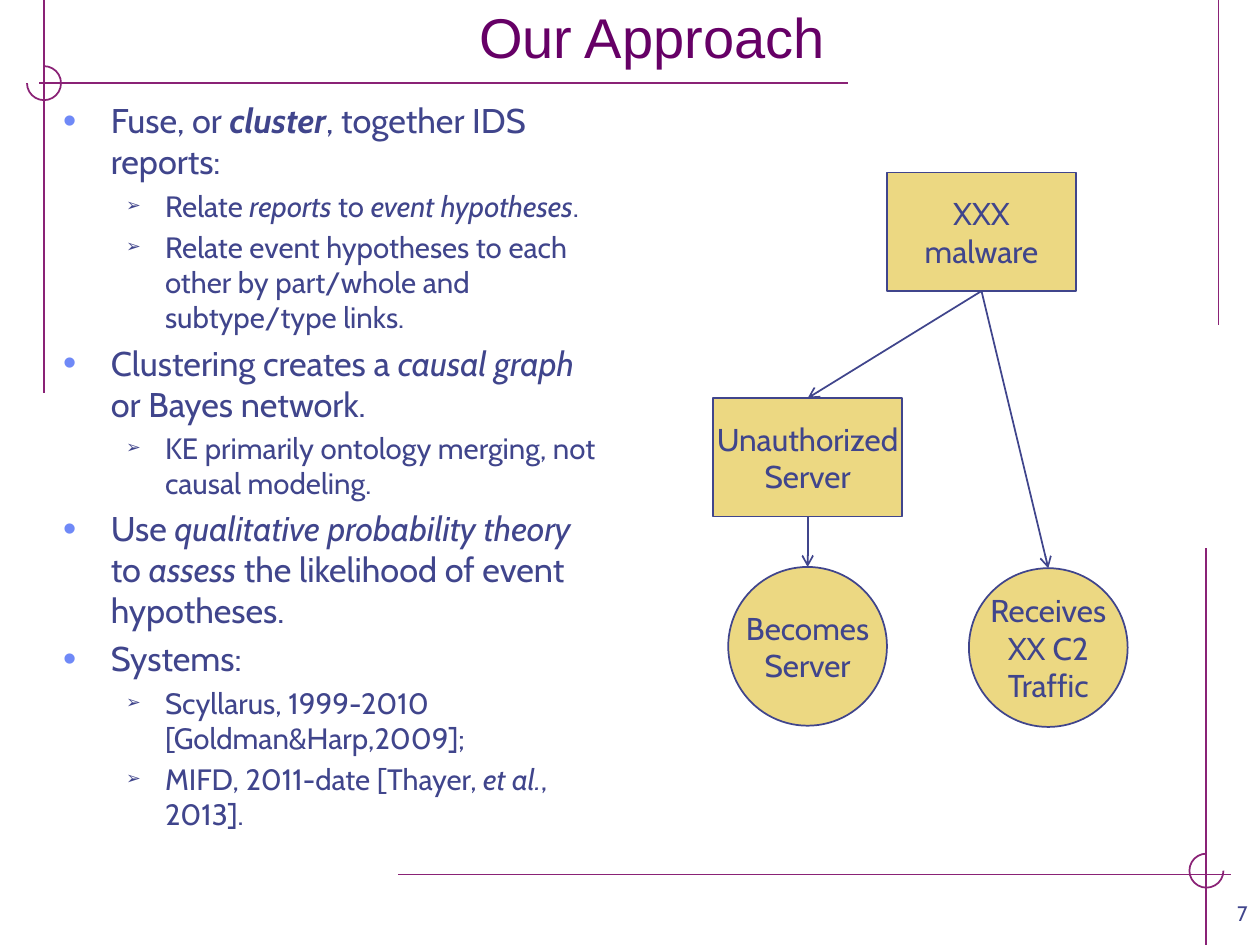
"""Build the "Our Approach" slide: a bulleted list beside a causal graph."""
from lxml import etree
from pptx import Presentation
from pptx import util as u
from pptx.dml.color import RGBColor
from pptx.enum import shapes, text
from pptx.oxml import ns

PLUM = RGBColor(0x8A, 0x22, 0x76)
GRAPE = RGBColor(0x66, 0x00, 0x66)
NAVY = RGBColor(0x40, 0x45, 0x8C)
SKY = RGBColor(0x6F, 0x89, 0xF7)
SAND = RGBColor(0xEC, 0xD8, 0x82)
WIDE, HIGH = u.Inches(10), u.Inches(7.5)
COLS, ROWS = 100, 75
LEVELS = (("•", SKY, 110, 0.38, 0.38, 19.6), ("➢", NAVY, 60, 0.81, 0.31, 16.8))
ITEMS = (
    (0, "Fuse, or *!cluster*, together IDS reports:"),
    (1, "Relate *reports *to *event hypotheses*."),
    (1, "Relate event hypotheses to each other by part/whole and subtype/type links."),
    (0, "Clustering creates a *causal graph* or Bayes network."),
    (1, "KE primarily ontology merging, not causal modeling."),
    (0, "Use *qualitative probability theory *to *assess* the likelihood of event hypotheses."),
    (0, "Systems:"),
    (1, "Scyllarus, 1999-2010 [Goldman&Harp,2009];"),
    (1, "MIFD, 2011-date [Thayer, *et al.*, 2013]."),
)
RULES = (
    (3.5, 0, 3.5, 31.2), (67.3, 6.6, 3.1, 6.6), (31.6, 69.4, 97.7, 69.4),
    (95.7, 43.5, 95.7, 75), (96.7, 0, 96.7, 25.8),
)


def grid(*nums):
    """Turn alternating column and row counts into lengths."""
    return [int(n * (HIGH / ROWS if i % 2 else WIDE / COLS)) for i, n in enumerate(nums)]


def move(shape, *box):
    """Place a shape on the grid."""
    shape.left, shape.top, shape.width, shape.height = grid(*box)


def write(para, words, size=18, font="Cabin", color=NAVY, align=None):
    """Fill a paragraph; *stars* mark italics and a leading ! adds bold."""
    para.alignment = align
    for i, part in enumerate(words.split("*")):
        run = para.add_run()
        run.text = part.lstrip("!")
        face = run.font
        face.size, face.name = u.Pt(size), font
        face.color.rgb = color
        face.italic, face.bold = i % 2 == 1, part.startswith("!")


def bullet(para, level):
    """Give a paragraph the indent, spacing and bullet of its level."""
    mark, color, share, left, hang, size = LEVELS[level]
    para.level = level
    para.space_before = u.Pt(0.2 * size)
    props = para._p.get_or_add_pPr()
    props.set("marL", str(u.Inches(left)))
    props.set("indent", str(-u.Inches(hang)))
    tint = etree.SubElement(props, ns.qn("a:buClr"))
    etree.SubElement(tint, ns.qn("a:srgbClr"), val=str(color))
    etree.SubElement(props, ns.qn("a:buSzPct"), val=str(share * 1000))
    etree.SubElement(props, ns.qn("a:buFont"), typeface="Arial")
    etree.SubElement(props, ns.qn("a:buChar"), char=mark)


def rule(slide, ends, color):
    """Draw a thin straight line without a shadow."""
    line = slide.shapes.add_connector(shapes.MSO_CONNECTOR.STRAIGHT, *grid(*ends))
    line.line.color.rgb, line.line.width = color, u.Pt(1)
    etree.SubElement(line._element.spPr, ns.qn("a:effectLst"))
    return line


def arrow(slide, start, end):
    """Join the bottom of one node to the top of another."""
    line = rule(slide, (0, 0, 0, 0), NAVY)
    line.begin_connect(start, 2 if start.auto_shape_type == shapes.MSO_SHAPE.RECTANGLE else 4)
    line.end_connect(end, 0)
    etree.SubElement(line.line._get_or_add_ln(), ns.qn("a:tailEnd"), type="arrow")


def arc(slide, col, row, start, end):
    """Draw a three-quarter ring between two angles in degrees."""
    ring = slide.shapes.add_shape(shapes.MSO_SHAPE.ARC, *grid(col, row, 2.7, 2.7))
    ring.shadow.inherit = False
    ring.fill.background()
    ring.line.color.rgb, ring.line.width = PLUM, u.Pt(1)
    ring.adjustments[0], ring.adjustments[1] = start * 0.6, end * 0.6


def node(slide, kind, box, *lines):
    """Add a filled graph node with centred lines of text."""
    shape = slide.shapes.add_shape(kind, *grid(*box))
    shape.shadow.inherit = False
    shape.fill.solid()
    shape.fill.fore_color.rgb = SAND
    shape.line.color.rgb, shape.line.width = NAVY, u.Pt(1)
    frame = shape.text_frame
    frame.word_wrap = False
    frame.vertical_anchor = text.MSO_ANCHOR.MIDDLE
    for i, words in enumerate(lines):
        para = frame.add_paragraph() if i else frame.paragraphs[0]
        write(para, words, align=text.PP_ALIGN.CENTER)
    return shape


def frame_art(slide):
    """Draw the crossing rules and rings at the slide's corners."""
    for ends in RULES:
        rule(slide, ends, PLUM)
    arc(slide, 2.15, 5.25, 270, 180)
    arc(slide, 94.4, 67.75, 0, 270)


def words(slide):
    """Fill the title, the list and the page number."""
    title, body = slide.shapes.title, slide.placeholders[1]
    move(title, 7, 0, 89.5, 6)
    move(body, 4, 7.4, 44.8, 61.4)
    page = slide.shapes.add_textbox(*grid(89.5, 70.9, 10.5, 3.1))
    for shape in (title, body, page):
        shape.text_frame.auto_size = text.MSO_AUTO_SIZE.NONE
        shape.text_frame.word_wrap = True
        shape.text_frame.vertical_anchor = text.MSO_ANCHOR.BOTTOM
    body.text_frame.vertical_anchor = text.MSO_ANCHOR.TOP
    write(title.text_frame.paragraphs[0], "Our Approach", size=32, font="Arial",
          color=GRAPE, align=text.PP_ALIGN.CENTER)
    write(page.text_frame.paragraphs[0], "7", size=12, align=text.PP_ALIGN.RIGHT)
    for i, (level, item) in enumerate(ITEMS):
        para = body.text_frame.add_paragraph() if i else body.text_frame.paragraphs[0]
        bullet(para, level)
        write(para, item, size=LEVELS[level][-1])


def graph(slide):
    """Draw the causal graph."""
    rect, oval = shapes.MSO_SHAPE.RECTANGLE, shapes.MSO_SHAPE.OVAL
    become = node(slide, oval, (57.8, 45, 12.6, 12.6), "Becomes", "Server")
    traffic = node(slide, oval, (76.9, 45.1, 12.6, 12.6), "Receives", "XX C2", "Traffic")
    server = node(slide, rect, (56.6, 31.6, 15, 9.4), "Unauthorized", "Server")
    malware = node(slide, rect, (70.4, 13.7, 15, 9.4), "XXX", "malware")
    for start, end in ((malware, server), (malware, traffic), (server, become)):
        arrow(slide, start, end)


def main():
    """Build and save the slide."""
    deck = Presentation()
    deck.slide_width, deck.slide_height = WIDE, HIGH
    slide = deck.slides.add_slide(deck.slide_layouts[1])
    frame_art(slide)
    words(slide)
    graph(slide)
    deck.save("out.pptx")


if __name__ == "__main__":
    main()
